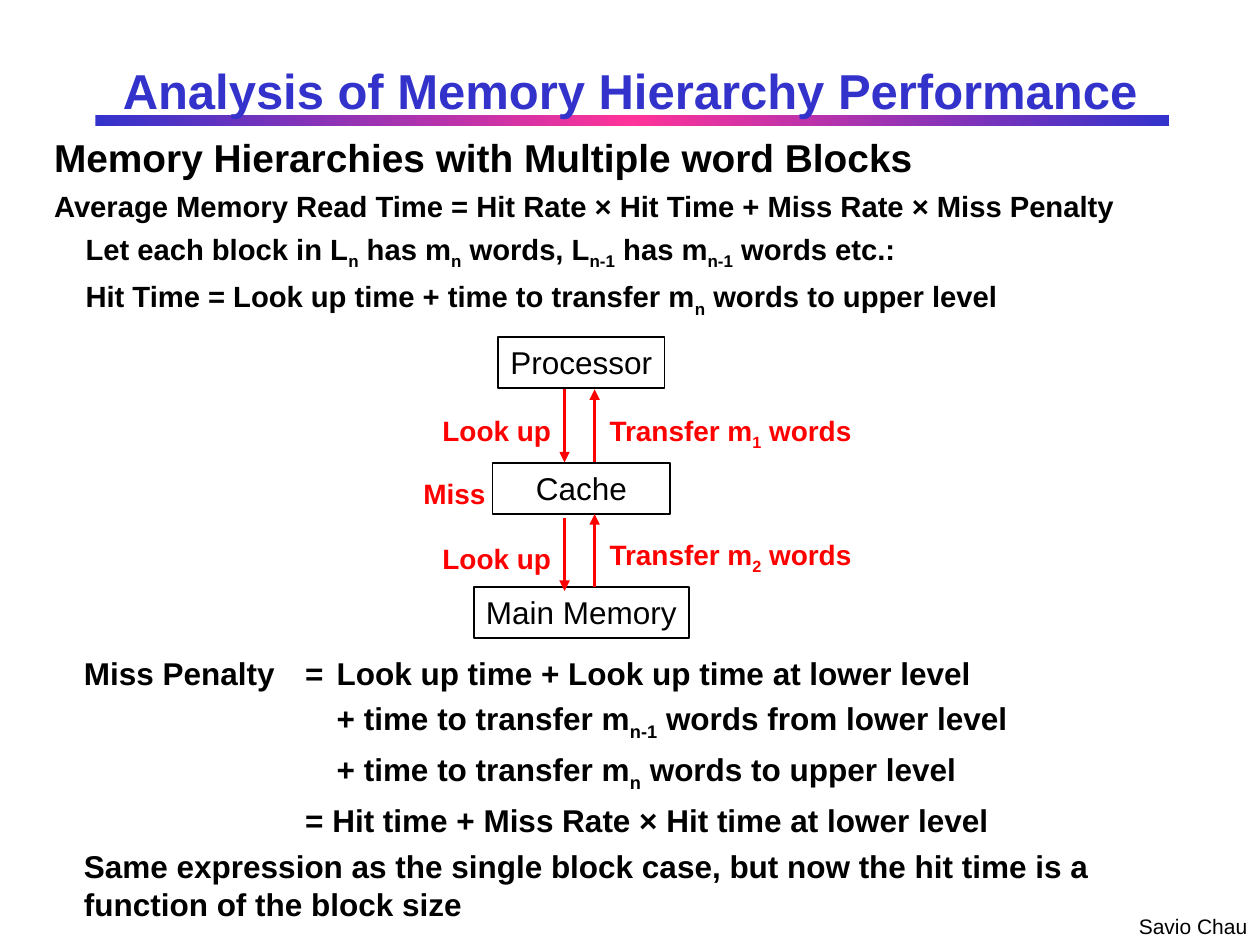
from copy import deepcopy

from lxml.etree import SubElement
from pptx import Presentation
from pptx.dml.color import RGBColor
from pptx.enum.shapes import MSO_CONNECTOR, MSO_SHAPE
from pptx.enum.text import MSO_ANCHOR, MSO_AUTO_SIZE, PP_ALIGN
from pptx.oxml.ns import qn
from pptx.util import Pt

COLORS = {"blue": "3333CC", "pink": "FF3399", "red": "FF0000", "black": "000000"}
FONT = "Arial"
MID = 332.2  # centre line of the memory levels
DOWN, UP = 322.6, 339.8  # x of the arrows


def rgb(name):
    return RGBColor.from_string(COLORS[name])


def add_runs(para, text, size, color="black", bold=True):
    """Add text as runs; every second part between bars is a subscript."""
    for i, part in enumerate(text.split("|")):
        run = para.add_run()
        run.text = part
        font = run.font
        font.name, font.size, font.bold = FONT, Pt(size), bold
        font.color.rgb = rgb(color)
        if i % 2:
            run._r.get_or_add_rPr().set("baseline", "-25000")


def set_para(para, left, first, before):
    """Set indents and space before, in points."""
    para.space_before = Pt(before)
    props = para._p.get_or_add_pPr()
    props.set("marL", str(Pt(left)))
    props.set("indent", str(Pt(first)))


def add_box(slide, x, y, w, h, wrap=True):
    frame = slide.shapes.add_textbox(Pt(x), Pt(y), Pt(w), Pt(h)).text_frame
    frame.word_wrap = wrap
    return frame


def add_label(slide, text, x, y, w, h, size=16, color="red", bold=True, pad=True):
    frame = add_box(slide, x, y, w, h, wrap=False)
    frame.auto_size = MSO_AUTO_SIZE.SHAPE_TO_FIT_TEXT
    if not pad:
        frame.margin_left = frame.margin_right = 0
        frame.margin_top = frame.margin_bottom = 0
    add_runs(frame.paragraphs[0], text, size, color, bold)


def add_title(slide, text):
    frame = add_box(slide, 54, 30.2, 612, 41.8)
    frame.vertical_anchor = MSO_ANCHOR.MIDDLE
    para = frame.paragraphs[0]
    para.alignment = PP_ALIGN.CENTER
    add_runs(para, text, 28, "blue")


def add_bar(slide):
    """Rule under the title, blue to pink and back."""
    bar = slide.shapes.add_shape(
        MSO_SHAPE.RECTANGLE, Pt(54.5), Pt(66), Pt(613.4), Pt(5.8))
    bar.shadow.inherit = False
    bar.line.fill.background()
    bar.fill.gradient()
    bar.fill.gradient_angle = 0
    stops = bar._element.spPr.find(".//" + qn("a:gsLst"))
    stops.insert(1, deepcopy(stops[0]))
    for stop, pos, name in zip(
            bar.fill.gradient_stops, (0, 0.5, 1), ("blue", "pink", "blue")):
        stop.position = pos
        stop.color.rgb = rgb(name)


def add_level(slide, text, y, w):
    box = slide.shapes.add_shape(
        MSO_SHAPE.RECTANGLE, Pt(MID - w / 2), Pt(y), Pt(w), Pt(29))
    box.shadow.inherit = False
    box.fill.background()
    box.line.color.rgb = rgb("black")
    box.line.width = Pt(1)
    frame = box.text_frame
    frame.word_wrap = False
    frame.vertical_anchor = MSO_ANCHOR.TOP
    para = frame.paragraphs[0]
    para.alignment = PP_ALIGN.CENTER
    add_runs(para, text, 18, bold=False)


def add_arrow(slide, x, start, end):
    line = slide.shapes.add_connector(
        MSO_CONNECTOR.STRAIGHT, Pt(x), Pt(start), Pt(x), Pt(end))
    line.line.color.rgb = rgb("red")
    line.line.width = Pt(2)
    SubElement(line.line._get_or_add_ln(), qn("a:tailEnd"), type="triangle")
    SubElement(line._element.spPr, qn("a:effectLst"))


def add_text(slide, place, rows):
    """Add a block of rows: text, size, left, first, before."""
    frame = add_box(slide, *place)
    for i, (text, size, *form) in enumerate(rows):
        para = frame.add_paragraph() if i else frame.paragraphs[0]
        set_para(para, *form)
        add_runs(para, text, size)


def main():
    deck = Presentation()
    deck.slide_width, deck.slide_height = Pt(720), Pt(540)
    slide = deck.slides.add_slide(deck.slide_layouts[6])

    add_bar(slide)
    add_label(slide, "Savio Chau", 643.7, 518.4, 76.3, 21.6, 12, "black", False)
    add_title(slide, "Analysis of Memory Hierarchy Performance")

    head, sub = (9.4, -9.4), (26.6, -8.6)
    add_text(slide, (23.8, 72.7, 672.5, 121), [
        ("Memory Hierarchies with Multiple word Blocks", 22.2, *head, 15),
        ("Average Memory Read Time = Hit Rate × Hit Time + Miss Rate × Miss Penalty",
         16.7, *head, 4.5),
        ("Let each block in L|n| has m|n| words, L|n-1| has m|n-1| words etc.:",
         16.7, *sub, 4.5),
        ("Hit Time = Look up time + time to transfer m|n| words to upper level",
         16.7, *sub, 4.5),
    ])

    # columns of the formula: its name, the equals sign, the terms
    left, top = 27.4, 370.1
    name, sign, term = 13.5, 139.9, 157.9
    for text, col, w in (("Miss Penalty", name, 130), ("=", sign, 30)):
        add_text(slide, (left + col, top, w, 28), [(text, 18, 0, 0, 4.5)])
    rows = (
        ("Look up time + Look up time at lower level", term),
        ("+ time to transfer m|n-1| words from lower level", term),
        ("+ time to transfer m|n| words to upper level", term),
        ("= Hit time + Miss Rate × Hit time at lower level", sign),
        ("Same expression as the single block case, but now the hit time is a "
         "function of the block size", name),
    )
    add_text(slide, (left, top, 666, 161.3),
             [(text, 18, col, 0, 4.5) for text, col in rows])

    for level, y, w in (("Processor", 192.7, 95), ("Cache", 264.7, 101.5),
                        ("Main Memory", 335.5, 123.1)):
        add_level(slide, level, y, w)

    # index, down arrow, up arrow, tops of the two labels
    for n, down, up, look, move in (
            (1, (222.5, 264.2), (264.2, 222.5), 232.6, 232.6),
            (2, (295.9, 337.7), (335.5, 293.8), 306, 303.8)):
        add_arrow(slide, DOWN, *down)
        add_arrow(slide, UP, *up)
        add_label(slide, "Look up", 245.8, look, 76.3, 26.6)
        add_label(slide, f"Transfer m|{n}| words", 341.3, move, 153.4, 29.5)
    add_label(slide, "Miss", 241.9, 272.2, 36, 19.4, pad=False)

    deck.save("out.pptx")


if __name__ == "__main__":
    main()
